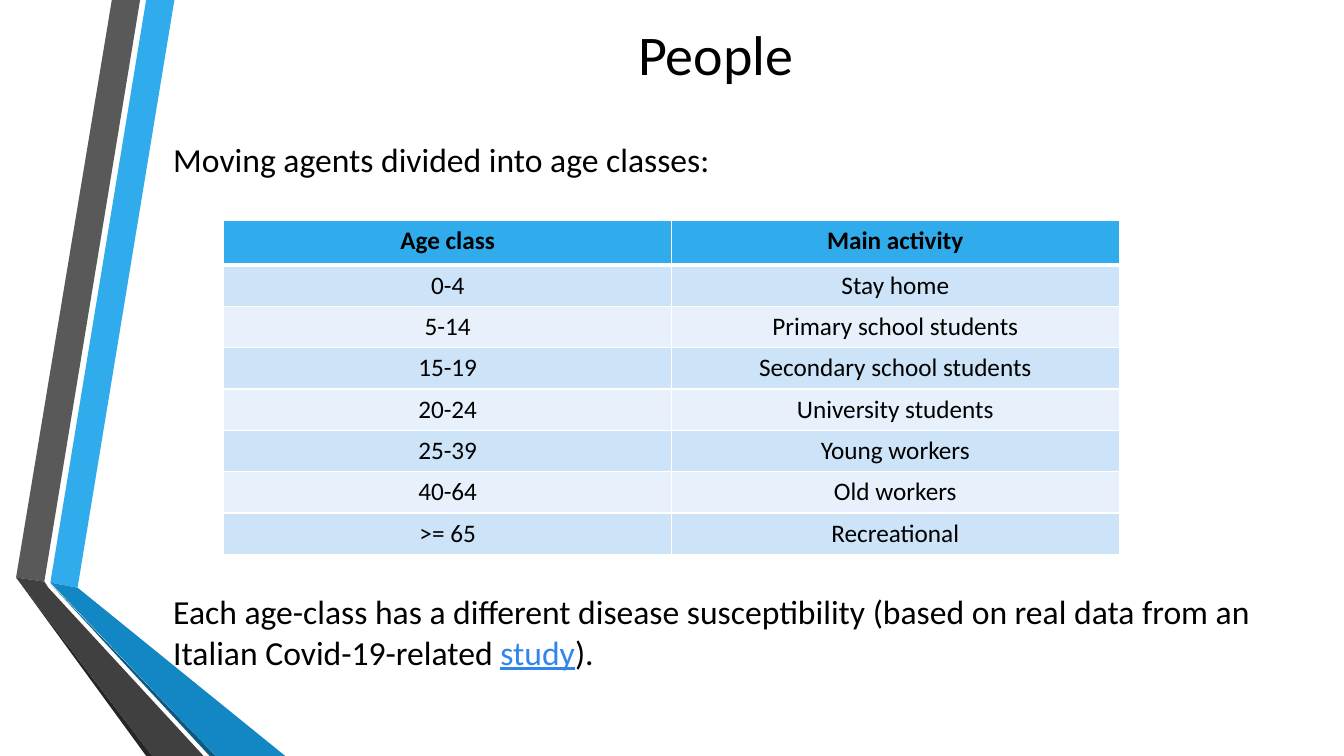
from dataclasses import dataclass

from lxml.etree import SubElement
from pptx import Presentation
from pptx.dml.color import RGBColor
from pptx.enum.text import MSO_ANCHOR as Anchor, PP_ALIGN as Align
from pptx.oxml.ns import qn
from pptx.util import Pt

PX = 9144  # EMU per px, 100 px to the inch
FONT = "Calibri"
COLORS = {
    "black": "000000", "white": "FFFFFF", "link": "3085ED",
    "sky": "30ACEC", "blue": "1287C3", "navy": "0C5A82",
    "gray": "595959", "dark": "404040", "coal": "262626",
    "odd": "CDE3F8", "even": "E8F1FB",
}


@dataclass
class Band:
    color: str
    points: list[tuple[int, int]]


@dataclass
class Label:
    top: int
    height: int
    size: int
    runs: list[str]
    title: bool = False


BANDS = [
    Band("sky", [(50, 578), (77, 583), (173, 0), (145, 0)]),
    Band("gray", [(139, 0), (111, 0), (16, 573), (44, 577)]),
    Band("coal", [(16, 573), (145, 750), (151, 750)]),
    Band("navy", [(50, 579), (208, 750), (214, 750)]),
    Band("blue", [(50, 578), (214, 750), (283, 750), (77, 583)]),
    Band("dark", [(202, 750), (48, 583), (44, 577), (16, 573), (151, 750)]),
]
LINK = "study"
LABELS = [
    Label(6, 93, 40, ["People"], title=True),
    Label(125, 66, 24, ["Moving agents divided into age classes:"]),
    Label(575, 103, 24, [
        "Each age-class has a different disease susceptibility "
        "(based on real data from an Italian Covid-19-related ",
        LINK, ")."]),
]
ROWS = [
    ("Age class", "Main activity"),
    ("0-4", "Stay home"),
    ("5-14", "Primary school students"),
    ("15-19", "Secondary school students"),
    ("20-24", "University students"),
    ("25-39", "Young workers"),
    ("40-64", "Old workers"),
    (">= 65", "Recreational"),
]


def rgb(name: str) -> RGBColor:
    return RGBColor.from_string(COLORS[name])


def set_font(font, size: int, bold: bool = False) -> None:
    font.name, font.size, font.bold = FONT, Pt(size), bold
    font.color.rgb = rgb("black")


def draw_band(shapes, band: Band) -> None:
    first, *rest = band.points
    path = shapes.build_freeform(*first, scale=PX)
    path.add_line_segments(rest)
    shape = path.convert_to_shape()
    shape.shadow.inherit = False
    shape.fill.solid()
    shape.fill.fore_color.rgb = rgb(band.color)
    shape.line.fill.background()


def draw_label(shapes, label: Label) -> None:
    box = shapes.add_textbox(162 * PX, label.top * PX, 1096 * PX, label.height * PX)
    frame = box.text_frame
    frame.word_wrap = True
    frame.vertical_anchor = Anchor.MIDDLE
    para = frame.paragraphs[0]
    set_font(para.font, label.size)
    if label.title:
        para.alignment = Align.CENTER
    else:
        para.space_before, para.space_after = Pt(5), Pt(6)
    for text in label.runs:
        run = para.add_run()
        run.text = text
        if text == LINK:
            run.font.underline = True
            run.font.color.rgb = rgb("link")


def add_edges(cell, top: int, bottom: int) -> None:
    """Give the cell white borders, with widths in points."""
    props = cell._tc.get_or_add_tcPr()
    for side, width in (("L", 1), ("R", 1), ("T", top), ("B", bottom)):
        line = SubElement(props, qn(f"a:ln{side}"), w=str(Pt(width)))
        fill = SubElement(line, qn("a:solidFill"))
        SubElement(fill, qn("a:srgbClr"), val=COLORS["white"])


def draw_table(shapes) -> None:
    frame = shapes.add_table(len(ROWS), 2, 222 * PX, 219 * PX, 888 * PX, 331 * PX)
    table = frame.table
    for r, texts in enumerate(ROWS):
        head = r == 0
        table.rows[r].height = (44 if head else 41) * PX
        color = "sky" if head else "odd" if r % 2 else "even"
        for c, text in enumerate(texts):
            cell = table.cell(r, c)
            add_edges(cell, top=3 if r == 1 else 1, bottom=3 if head else 1)
            cell.fill.solid()
            cell.fill.fore_color.rgb = rgb(color)
            cell.text = text
            para = cell.text_frame.paragraphs[0]
            para.alignment = Align.CENTER
            set_font(para.font, 18, bold=head)


def main() -> None:
    deck = Presentation()
    deck.slide_width, deck.slide_height = 1333 * PX, 750 * PX
    shapes = deck.slides.add_slide(deck.slide_layouts[6]).shapes
    for band in BANDS:
        draw_band(shapes, band)
    for label in LABELS:
        draw_label(shapes, label)
    draw_table(shapes)
    deck.save("out.pptx")


if __name__ == "__main__":
    main()
